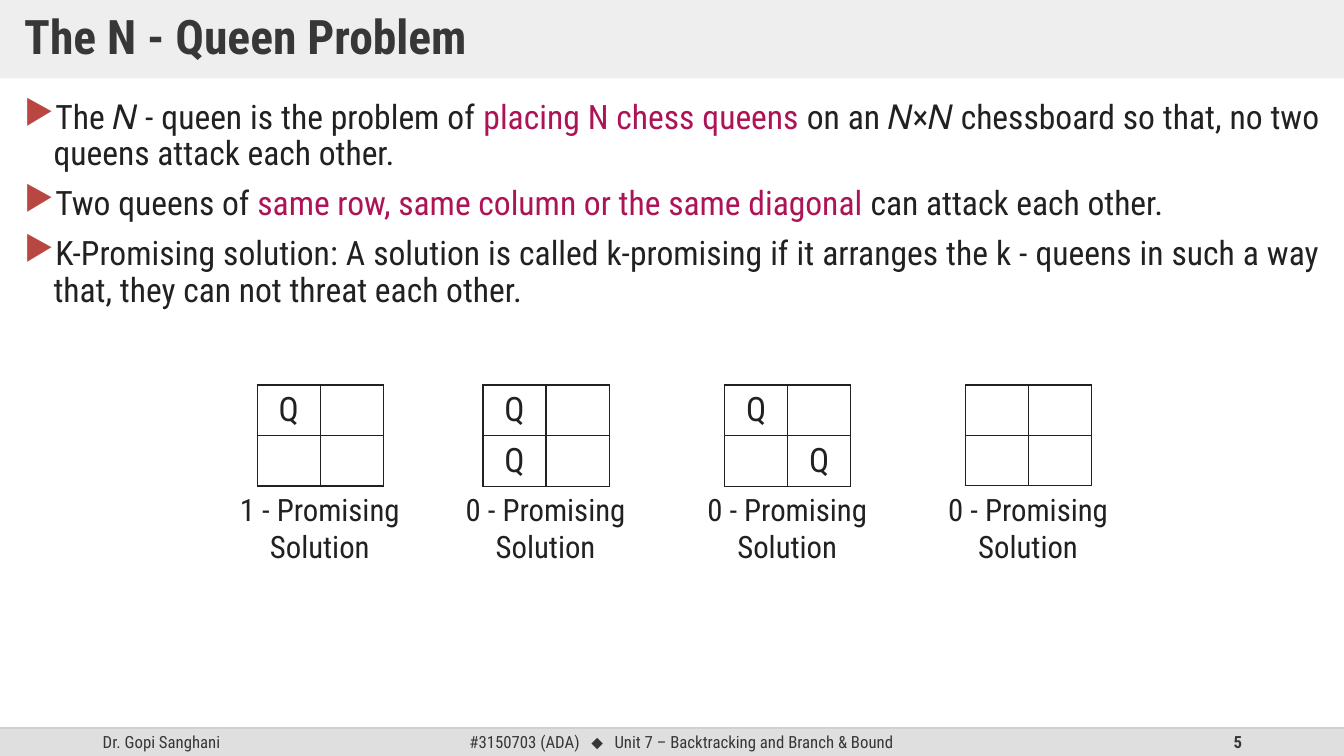
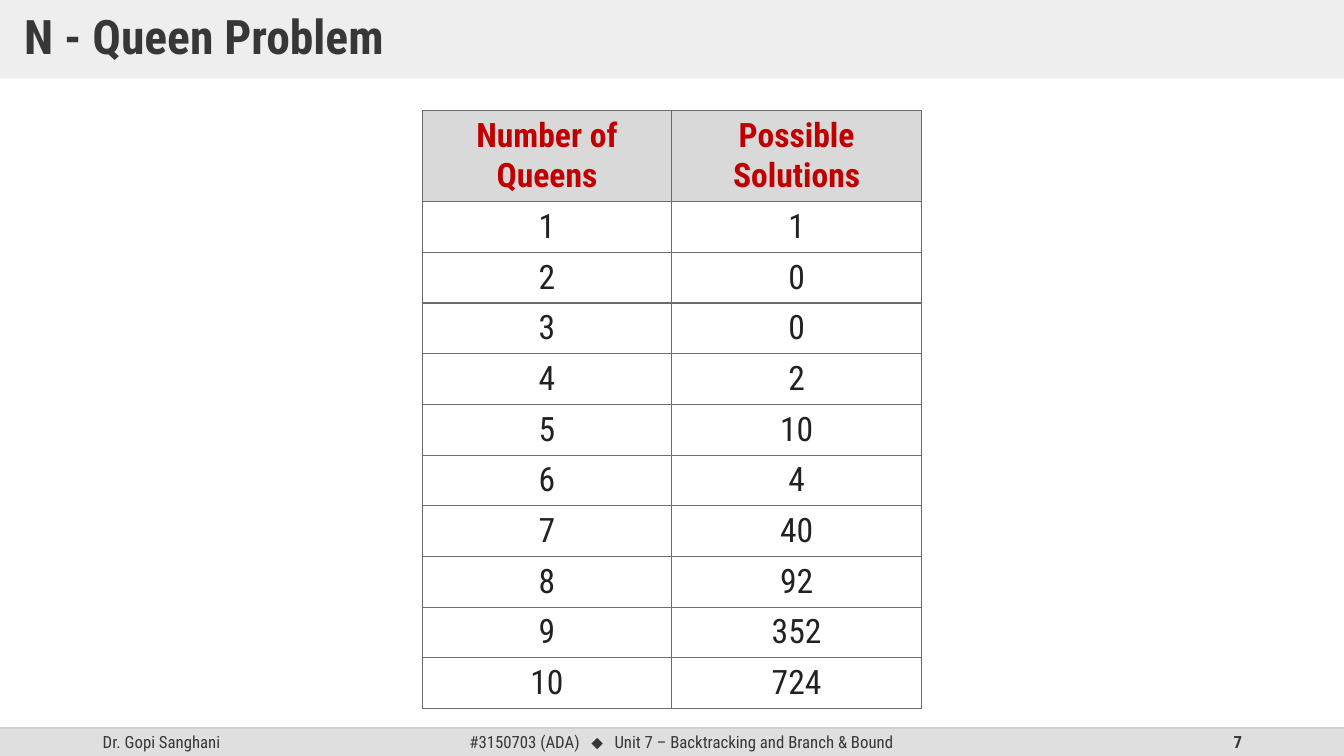
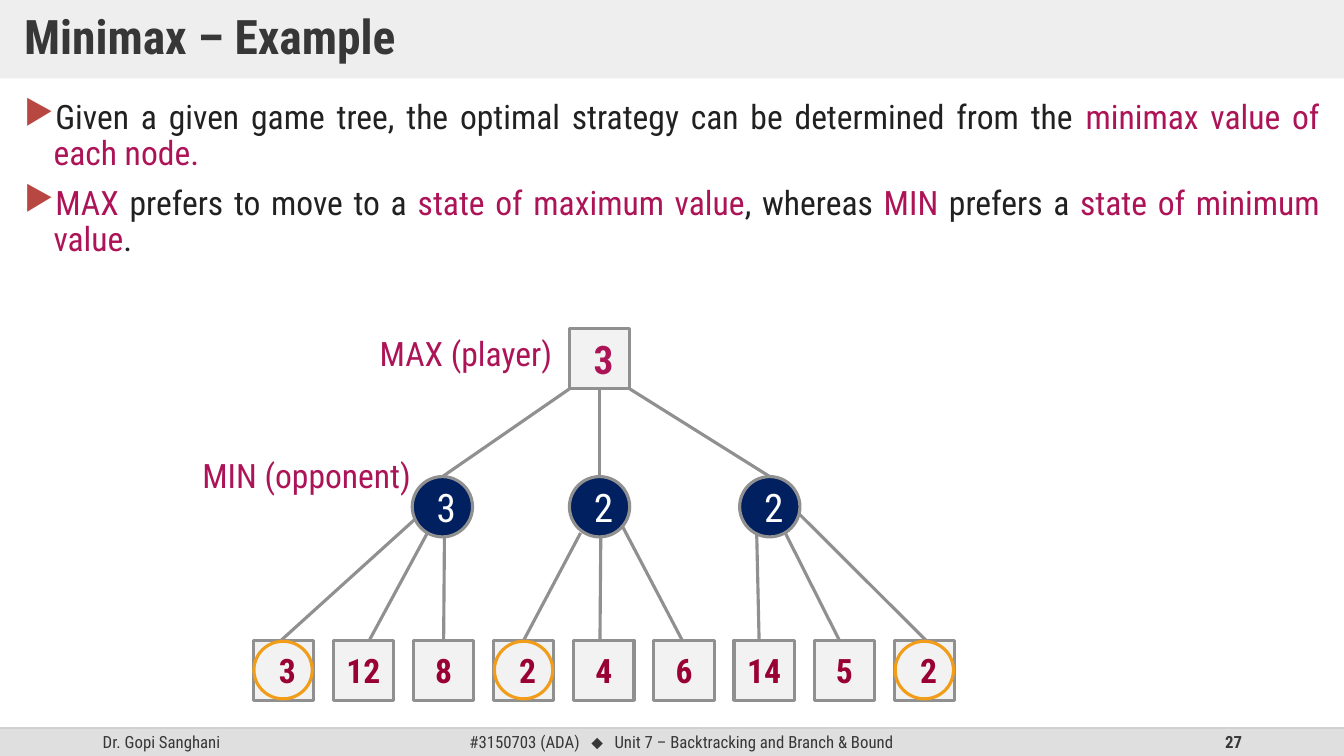
from dataclasses import dataclass
from typing import NamedTuple, Optional, Sequence, Union

from lxml import etree
from pptx import Presentation
from pptx.dml.color import RGBColor
from pptx.enum.shapes import MSO_CONNECTOR, MSO_SHAPE
from pptx.enum.text import MSO_ANCHOR, PP_ALIGN
from pptx.oxml.ns import qn
from pptx.util import Cm, Pt

LEFT, CENTER, RIGHT, JUSTIFY = PP_ALIGN.LEFT, PP_ALIGN.CENTER, PP_ALIGN.RIGHT, PP_ALIGN.JUSTIFY
TOP, MIDDLE = MSO_ANCHOR.TOP, MSO_ANCHOR.MIDDLE
RECT, OVAL = MSO_SHAPE.RECTANGLE, MSO_SHAPE.OVAL
STRAIGHT = MSO_CONNECTOR.STRAIGHT

FONT = "Roboto Condensed"
INK, HEADING, ACCENT, BULLET = "212121", "373737", "AD1457", "B84742"
BAND, RULE, TABLE_RULE = "DFDFDF", "BFBFBF", "6C6C6C"
HEADER_FILL, HEADER_INK = "D9D9D9", "C00000"
NODE_LINE, NODE_FILL, NAVY = "909090", "F2F2F2", "002060"
LEAF_INK, RING, WHITE = "990033", "F19D19", "FFFFFF"

SLIDE_W, SLIDE_H = 33.87, 19.05
FOOTER_Y, FOOTER_H = 18.34, 0.71
MARGINS = (0.25, 0.13, 0.25, 0.13)
NO_MARGINS = (0, 0, 0, 0)
NODE, NODE_LINE_W = 1.52, 2.25


class Run(NamedTuple):
    """A piece of text with its own format."""
    text: str
    color: Optional[str] = None
    font: str = FONT
    spacing: float = 0


Paragraph = Sequence[Union[str, Run]]


@dataclass(frozen=True)
class Board:
    """A 2 x 2 chessboard with its caption."""
    left: float
    rows: tuple[str, str]
    promising: int


class Leaf(NamedTuple):
    """A leaf value with the offsets of the edge that reaches it."""
    value: str
    exit_x: float
    exit_y: float
    entry_x: float
    ringed: bool = False


@dataclass(frozen=True)
class MinNode:
    """An opponent node and its leaves."""
    left: float
    value: str
    leaves: tuple[Leaf, ...]


BOARDS = (
    Board(6.48, ("Q ", "  "), 1),
    Board(12.17, ("Q ", "Q "), 0),
    Board(18.26, ("Q ", " Q"), 0),
    Board(24.33, ("  ", "  "), 0),
)
SOLUTIONS = (1, 0, 0, 2, 10, 4, 40, 92, 352, 724)
MIN_NODES = (
    MinNode(10.39, "3", (Leaf("3", -0.71, 0.33, -0.05, True),
                         Leaf("12", -0.38, 0.66, 0.15),
                         Leaf("8", 0.05, 0.79, 0))),
    MinNode(14.35, "2", (Leaf("2", -0.48, 0.66, 0, True),
                         Leaf("4", 0.03, 0.79, -0.1),
                         Leaf("6", 0.56, 0.46, -0.05))),
    MinNode(18.64, "2", (Leaf("14", -0.33, 0.69, -0.13),
                         Leaf("5", 0.38, 0.64, -0.13),
                         Leaf("2", 0.74, 0.18, 0.03, True))),
)
QUEEN_POINTS = (
    ("The 𝑁 - queen is the problem of ", Run("placing N chess queens ", ACCENT),
     "on an 𝑁×𝑁 chessboard so that, no two queens attack each other."),
    ("Two queens of ", Run("same row, same column or the same diagonal ", ACCENT),
     "can attack each other."),
    ("K-Promising solution: A solution is called k-promising if it arranges the "
     "k - queens in such a way that, they can not threat each other.",),
)
MINIMAX_POINTS = (
    ("Given a given game tree, the optimal strategy can be determined from the ",
     Run("minimax value of each node.", ACCENT)),
    (Run("MAX", ACCENT), " prefers to move to a ", Run("state of maximum value", ACCENT),
     ", whereas ", Run("MIN", ACCENT), " prefers a ",
     Run("state of minimum value", ACCENT), "."),
)
COURSE = ("#3150703 (ADA)", Run(" ", spacing=5.4), Run("⬥", font="Arial"),
          Run(" ", spacing=5.4), "Unit 7 – Backtracking and Branch & Bound")


def rgb(hex_color: str) -> RGBColor:
    """Turn a hex string into a colour."""
    return RGBColor.from_string(hex_color)


def set_alpha(shape, percent: int) -> None:
    """Make the colours of a shape translucent."""
    for color in shape._element.iter(qn("a:srgbClr")):
        etree.SubElement(color, qn("a:alpha")).set("val", str(percent * 1000))


def add_bullet(paragraph) -> None:
    """Give a paragraph the hanging triangle bullet."""
    properties = paragraph._p.get_or_add_pPr()
    properties.set("marL", str(Cm(0.74)))
    properties.set("indent", str(-Cm(0.74)))
    bullet_color = etree.SubElement(properties, qn("a:buClr"))
    etree.SubElement(bullet_color, qn("a:srgbClr")).set("val", BULLET)
    etree.SubElement(properties, qn("a:buChar")).set("char", "▶")


def write_text(frame, paragraphs: Sequence[Paragraph], *, size: float = 24, color: str = INK,
               bold: bool = False, align=LEFT, anchor=TOP, margins=MARGINS, wrap: bool = True,
               line_spacing: float = 1.0, space_before: float = 0, bullet: bool = False) -> None:
    """Fill a text frame with formatted paragraphs."""
    frame.word_wrap = wrap
    frame.vertical_anchor = anchor
    frame.margin_left, frame.margin_top, frame.margin_right, frame.margin_bottom = map(Cm, margins)
    for index, pieces in enumerate(paragraphs):
        paragraph = frame.add_paragraph() if index else frame.paragraphs[0]
        if bullet:
            add_bullet(paragraph)
        paragraph.alignment = align
        paragraph.line_spacing = line_spacing
        paragraph.space_before = Pt(space_before if index else 0)
        for piece in pieces:
            part = Run(piece) if isinstance(piece, str) else piece
            run = paragraph.add_run()
            run.text = part.text
            run.font.name, run.font.size, run.font.bold = part.font, Pt(size), bold
            run.font.color.rgb = rgb(part.color or color)
            if part.spacing:
                run._r.get_or_add_rPr().set("spc", str(round(part.spacing * 100)))


def add_text(slide, left: float, top: float, width: float, height: float,
             paragraphs: Sequence[Paragraph], **text_format) -> None:
    """Add a text box."""
    box = slide.shapes.add_textbox(Cm(left), Cm(top), Cm(width), Cm(height))
    write_text(box.text_frame, paragraphs, **text_format)


def add_box(slide, kind, left: float, top: float, width: float, height: float,
            fill: Optional[str] = None, line: Optional[str] = None):
    """Add a preset shape without shadow."""
    shape = slide.shapes.add_shape(kind, Cm(left), Cm(top), Cm(width), Cm(height))
    shape.shadow.inherit = False
    if fill:
        shape.fill.solid()
        shape.fill.fore_color.rgb = rgb(fill)
    else:
        shape.fill.background()
    if line:
        shape.line.color.rgb = rgb(line)
        shape.line.width = Pt(NODE_LINE_W)
    else:
        shape.line.fill.background()
    return shape


def add_line(slide, start: tuple[float, float], end: tuple[float, float],
             color: str = NODE_LINE, width: float = NODE_LINE_W):
    """Add a straight line without shadow."""
    line = slide.shapes.add_connector(STRAIGHT, *map(Cm, (*start, *end)))
    line.line.color.rgb = rgb(color)
    line.line.width = Pt(width)
    etree.SubElement(line._element.spPr, qn("a:effectLst"))
    return line


def add_frame(deck, title: str, number: int):
    """Add a slide with the title band and footer."""
    slide = deck.slides.add_slide(deck.slide_layouts[6])
    add_box(slide, RECT, 0, FOOTER_Y, SLIDE_W, FOOTER_H, BAND)
    footers = ((2.34, 7.62, ("Dr. Gopi Sanghani",), LEFT, False),
               (11.23, 11.89, COURSE, CENTER, False),
               (23.93, 7.62, (str(number),), RIGHT, True))
    for left, width, pieces, align, bold in footers:
        add_text(slide, left, FOOTER_Y, width, FOOTER_H, [pieces], size=12, color=HEADING,
                 bold=bold, align=align, anchor=MIDDLE)
    set_alpha(add_line(slide, (0, FOOTER_Y), (SLIDE_W, FOOTER_Y), RULE, 1), 70)
    title_band = add_box(slide, RECT, 0, 0, SLIDE_W, 1.98, BAND)
    set_alpha(title_band, 50)
    write_text(title_band.text_frame, [(title,)], size=34, color=HEADING, bold=True,
               anchor=MIDDLE, margins=(0.61, 0.3, 0.61, 0.3), line_spacing=0.9)
    return slide


def add_points(slide, points: Sequence[Paragraph]) -> None:
    """Add the bulleted body text."""
    add_text(slide, 0.36, 2.39, 33.15, 15.52, points, align=JUSTIFY,
             line_spacing=0.9, space_before=10, bullet=True)


def set_borders(cell, color: str) -> None:
    """Draw a thin line on each side of a cell."""
    properties = cell._tc.get_or_add_tcPr()
    for side in ("a:lnL", "a:lnR", "a:lnT", "a:lnB"):
        border = etree.SubElement(properties, qn(side), w=str(Pt(1)))
        fill = etree.SubElement(border, qn("a:solidFill"))
        etree.SubElement(fill, qn("a:srgbClr")).set("val", color)


def add_grid(slide, left: float, top: float, column_width: float, row_heights: Sequence[float],
             rows: Sequence[Sequence[str]], border: str, has_header: bool = False) -> None:
    """Add a ruled table of centred text."""
    columns = len(rows[0])
    table = slide.shapes.add_table(len(rows), columns, Cm(left), Cm(top),
                                   Cm(column_width * columns), Cm(sum(row_heights))).table
    table.first_row = table.horz_banding = False
    for column in table.columns:
        column.width = Cm(column_width)
    for index, (values, height) in enumerate(zip(rows, row_heights)):
        table.rows[index].height = Cm(height)
        heading = has_header and index == 0
        for cell, value in zip(table.rows[index].cells, values):
            set_borders(cell, border)
            if heading:
                cell.fill.solid()
                cell.fill.fore_color.rgb = rgb(HEADER_FILL)
            else:
                cell.fill.background()
            cell.margin_top = cell.margin_bottom = Cm(0.13)
            cell.vertical_anchor = MIDDLE
            if value.strip():
                write_text(cell.text_frame, [(value,)], color=HEADER_INK if heading else INK,
                           bold=heading, align=CENTER)
                cell.text_frame.word_wrap = True


def add_node(slide, kind, left: float, top: float, value: str, fill: str, color: str,
             size: float, bold: bool, shift: float = 0) -> None:
    """Add a tree node showing its value."""
    node = add_box(slide, kind, left, top, NODE, NODE, fill, NODE_LINE)
    write_text(node.text_frame, [(value,)], size=size, color=color, bold=bold, align=CENTER,
               anchor=MIDDLE, margins=(shift, 0, 0, 0) if shift else NO_MARGINS, wrap=False)


def add_tree(slide) -> None:
    """Draw the minimax game tree."""
    half, shift = NODE / 2, 0.2
    root_x, root_y, min_y, leaf_y = 14.35, 8.28, 12.01, 16.13
    leaf_x, leaf_step = 6.38, 2.02
    add_node(slide, RECT, root_x, root_y, "3", NODE_FILL, ACCENT, 28, True, shift)
    leaf_index = 0
    for side, opponent in zip((-1, 0, 1), MIN_NODES):
        center_x, center_y = opponent.left + half, min_y + half
        add_node(slide, OVAL, opponent.left, min_y, opponent.value, NAVY, WHITE, 28, False, shift)
        add_line(slide, (root_x + half + side * half, root_y + NODE), (center_x, min_y))
        for leaf in opponent.leaves:
            left = leaf_x + leaf_index * leaf_step
            leaf_index += 1
            add_node(slide, RECT, left, leaf_y, leaf.value, NODE_FILL, LEAF_INK, 24, True,
                     shift if leaf.ringed else 0)
            add_line(slide, (center_x + leaf.exit_x, center_y + leaf.exit_y),
                     (left + half + leaf.entry_x, leaf_y))
            if leaf.ringed:
                add_box(slide, OVAL, left + 0.02, leaf_y + 0.03, 1.47, 1.45, line=RING)
    add_text(slide, 9.32, 8.26, 5.41, 1.27, [("MAX (player)",)], color=ACCENT)
    add_text(slide, 4.85, 11.33, 5.87, 1.27, [("MIN (opponent)",)], color=ACCENT)


def main() -> None:
    """Build and save the three slides."""
    deck = Presentation()
    deck.slide_width, deck.slide_height = Cm(SLIDE_W), Cm(SLIDE_H)

    queens = add_frame(deck, "The N - Queen Problem", 5)
    add_points(queens, QUEEN_POINTS)
    for board in BOARDS:
        add_grid(queens, board.left, 9.7, 1.59, (1.27, 1.27), board.rows, INK)
        add_text(queens, board.left - 0.77, 12.24, 4.7, 2.13,
                 [(f"{board.promising} - Promising Solution",)], size=22, align=CENTER)

    counts = add_frame(deck, "N - Queen Problem", 7)
    rows = [("Number of Queens", "Possible Solutions")]
    rows += [(str(size), str(count)) for size, count in enumerate(SOLUTIONS, 1)]
    add_grid(counts, 10.64, 2.79, 6.29, [2.24] + [1.25] * len(SOLUTIONS), rows, TABLE_RULE, True)

    minimax = add_frame(deck, "Minimax – Example", 27)
    add_tree(minimax)
    add_points(minimax, MINIMAX_POINTS)

    deck.save("out.pptx")


if __name__ == "__main__":
    main()
